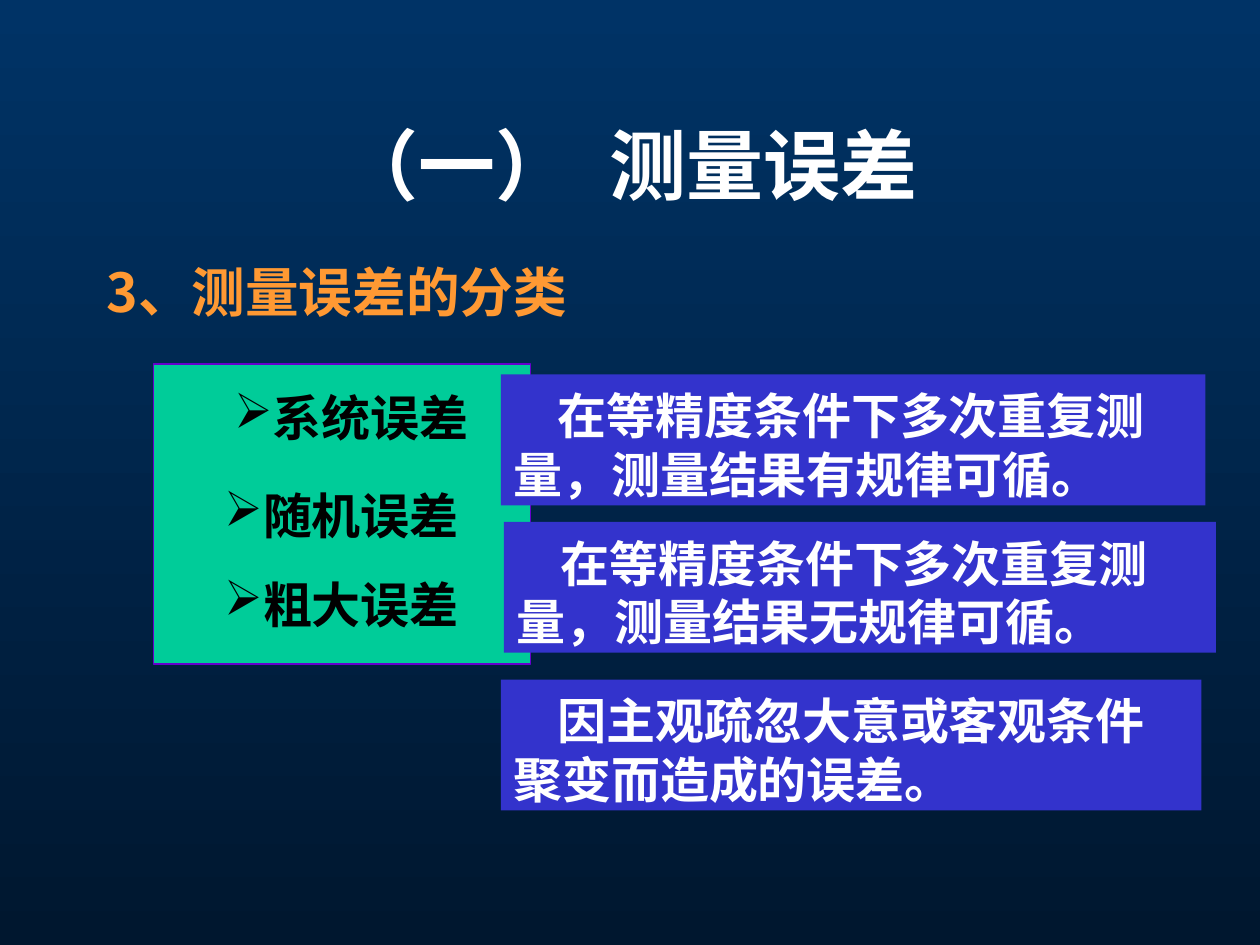
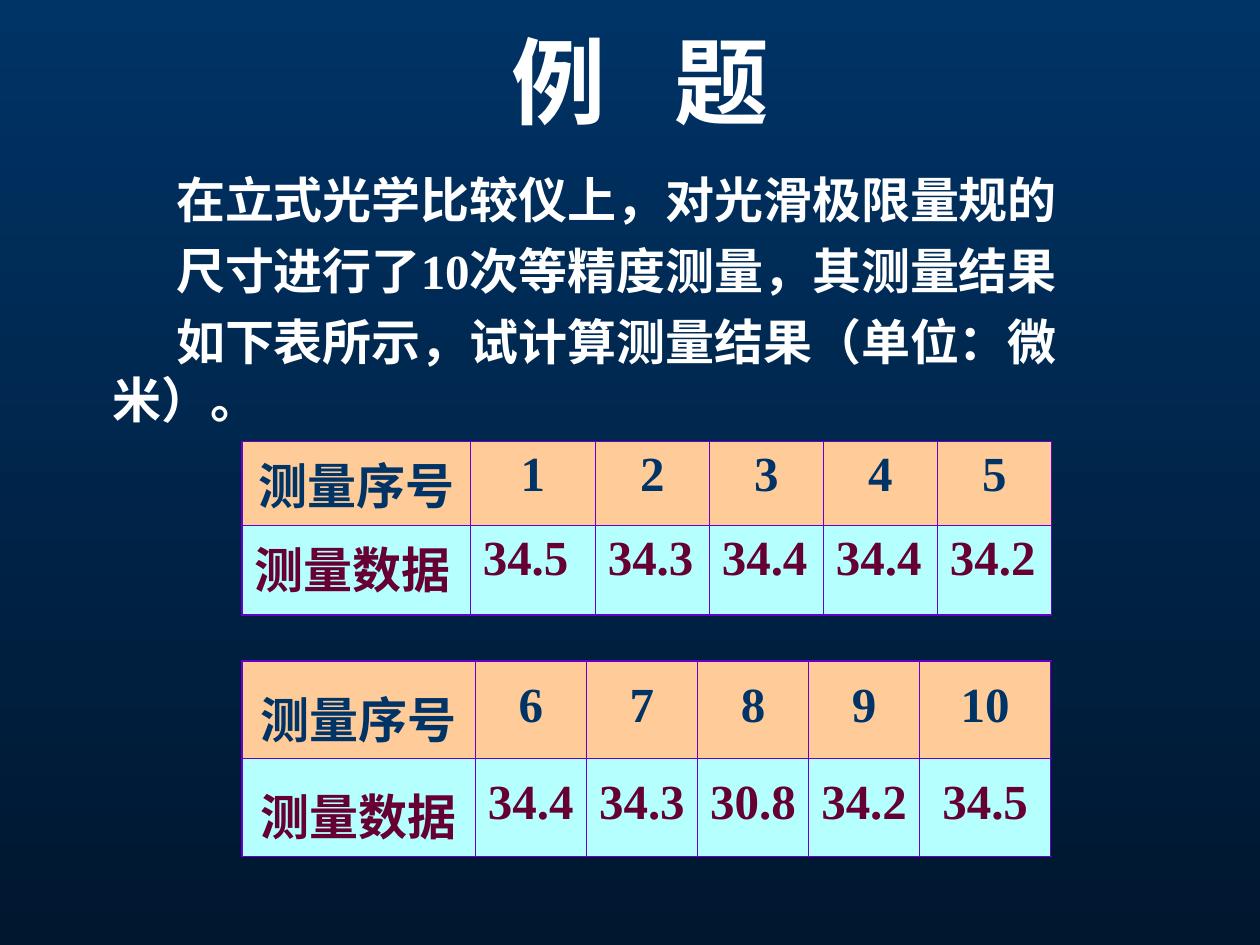
from dataclasses import dataclass

from lxml.etree import SubElement
from pptx import Presentation
from pptx.dml.color import RGBColor
from pptx.enum.shapes import MSO_SHAPE as Preset
from pptx.enum.text import MSO_ANCHOR as Anchor, MSO_AUTO_SIZE as AutoSize, PP_ALIGN as Align
from pptx.oxml.ns import qn
from pptx.util import Cm, Pt

NAVY, MIDNIGHT, WHITE, BLACK = "003366", "00172F", "FFFFFF", "000000"
ORANGE, GREEN, BLUE, PURPLE = "FF9933", "00CC99", "3333CC", "6600CC"
PEACH, AQUA, WINE = "FFCC99", "B5FFFF", "660033"
SERIF, SANS = "Times New Roman", "Noto Sans CJK SC"
BODY_SIZE = 28
INNER_BORDER, OUTER_BORDER = 0.45, 1.08


@dataclass
class Box:
    """Position and size in centimetres."""
    left: float
    top: float
    width: float
    height: float

    def lengths(self) -> tuple:
        return Cm(self.left), Cm(self.top), Cm(self.width), Cm(self.height)


@dataclass
class ErrorKind:
    name: str
    name_box: Box
    description: str
    description_box: Box


@dataclass
class Readings:
    box: Box
    column_widths: list[float]
    row_heights: list[float]
    numbers: list[str]
    values: list[str]
    value_align: Align
    line_spacing: float


ERROR_KINDS = [
    ErrorKind("系统误差", Box(4.47, 7.59, 5.92, 1.45),
              "在等精度条件下多次重复测量，测量结果有规律可循。", Box(10.1, 7.55, 14.2, 2.64)),
    ErrorKind("随机误差", Box(4.27, 9.55, 5.92, 1.45),
              "在等精度条件下多次重复测量，测量结果无规律可循。", Box(10.16, 10.52, 14.35, 2.64)),
    ErrorKind("粗大误差", Box(4.27, 11.35, 6.6, 1.45),
              "因主观疏忽大意或客观条件聚变而造成的误差。", Box(10.1, 13.7, 14.12, 2.64)),
]

READINGS = [
    Readings(Box(4.88, 8.9, 16.3, 3.5), [4.6, 2.52] + [2.3] * 4, [1.69, 1.81],
             ["1", "2", "3", "4", "5"], ["34.5", "34.3", "34.4", "34.4", "34.2"],
             Align.LEFT, 1),
    Readings(Box(4.88, 13.33, 16.3, 3.92), [4.7] + [2.24] * 4 + [2.64], [1.96, 1.96],
             ["6", "7", "8", "9", "10"], ["34.4", "34.3", "30.8", "34.2", "34.5"],
             Align.CENTER, 1.2),
]


def color(value: str) -> RGBColor:
    return RGBColor.from_string(value)


def set_font(paragraph, size: float, fill: str, latin: str = SERIF) -> None:
    font = paragraph.font
    font.size, font.bold, font.name = Pt(size), True, latin
    font.color.rgb = color(fill)
    properties = paragraph._p.pPr.find(qn("a:defRPr"))
    SubElement(properties, qn("a:ea")).set("typeface", SANS)


def set_indent(paragraph, left: float, first: float) -> None:
    properties = paragraph._p.get_or_add_pPr()
    properties.set("marL", str(Cm(left)))
    properties.set("indent", str(Cm(first)))
    properties.set("hangingPunct", "0")


def set_bullet(paragraph, character: str | None) -> None:
    properties = paragraph._p.get_or_add_pPr()
    if character is None:
        SubElement(properties, qn("a:buNone"))
    else:
        SubElement(properties, qn("a:buChar")).set("char", character)


def prepare_frame(shape) -> None:
    frame = shape.text_frame
    frame.word_wrap = True
    frame.auto_size = AutoSize.NONE
    frame.vertical_anchor = Anchor.TOP
    frame.margin_left = frame.margin_right = Cm(0.25)
    frame.margin_top, frame.margin_bottom = Cm(0.23), Cm(0.13)


def move(shape, box: Box) -> None:
    shape.left, shape.top, shape.width, shape.height = box.lengths()


def set_title(slide, text: str, box: Box, size: float, gap: float) -> None:
    """Fill the title, widening its single space by gap points."""
    title = slide.shapes.title
    move(title, box)
    prepare_frame(title)
    title.text_frame.margin_top = Cm(0.13)
    title.text_frame.vertical_anchor = Anchor.MIDDLE
    paragraph = title.text_frame.paragraphs[0]
    paragraph.alignment = Align.CENTER
    set_font(paragraph, size, WHITE)
    for part in text.partition(" "):
        run = paragraph.add_run()
        run.text = part
        if part == " ":
            run._r.get_or_add_rPr().set("spc", str(round(gap * 100)))


def set_body(slide, lines: list[str], box: Box, size: float, fill: str,
             latin: str, line_height: float, left: float = 0, first: float = 0) -> None:
    body = slide.placeholders[1]
    move(body, box)
    prepare_frame(body)
    body.text_frame.text = "\n".join(lines)
    for index, paragraph in enumerate(body.text_frame.paragraphs):
        set_indent(paragraph, left, first)
        paragraph.line_spacing = Pt(line_height)
        paragraph.space_before = Pt(7 if index else 0)
        set_bullet(paragraph, None)
        set_font(paragraph, size, fill, latin)


def add_rectangle(slide, box: Box, fill: str, line: str | None = None):
    rectangle = slide.shapes.add_shape(Preset.RECTANGLE, *box.lengths())
    rectangle.shadow.inherit = False
    rectangle.fill.solid()
    rectangle.fill.fore_color.rgb = color(fill)
    if line:
        rectangle.line.color.rgb = color(line)
        rectangle.line.width = Pt(0.75)
    else:
        rectangle.line.fill.background()
    return rectangle


def write_paragraph(shape, text: str, fill: str, first: float = 0, bullet: str | None = None) -> None:
    prepare_frame(shape)
    paragraph = shape.text_frame.paragraphs[0]
    paragraph.text = text
    paragraph.alignment = Align.LEFT
    set_indent(paragraph, 0, first)
    paragraph.line_spacing = Pt(33.6)
    set_bullet(paragraph, bullet)
    set_font(paragraph, BODY_SIZE, fill)


def set_borders(cell, outer_sides: dict[str, bool]) -> None:
    properties = cell._tc.get_or_add_tcPr()
    for side, is_outer in outer_sides.items():
        width = OUTER_BORDER if is_outer else INNER_BORDER
        line = SubElement(properties, qn(f"a:ln{side}"), w=str(Pt(width)))
        SubElement(SubElement(line, qn("a:solidFill")), qn("a:srgbClr"), val=PURPLE)


def add_readings(slide, readings: Readings) -> None:
    rows = [
        (["测量序号"] + readings.numbers, PEACH, NAVY, Align.CENTER),
        (["测量数据"] + readings.values, AQUA, WINE, readings.value_align),
    ]
    columns = len(readings.column_widths)
    table = slide.shapes.add_table(len(rows), columns, *readings.box.lengths()).table
    table.first_row = table.horz_banding = False
    for column, width in zip(table.columns, readings.column_widths):
        column.width = Cm(width)
    for row, height in zip(table.rows, readings.row_heights):
        row.height = Cm(height)
    for row_index, (texts, fill, text_color, align) in enumerate(rows):
        for column_index, text in enumerate(texts):
            cell = table.cell(row_index, column_index)
            set_borders(cell, {"L": column_index == 0, "R": column_index == columns - 1,
                               "T": row_index == 0, "B": row_index == len(rows) - 1})
            cell.fill.solid()
            cell.fill.fore_color.rgb = color(fill)
            paragraph = cell.text_frame.paragraphs[0]
            paragraph.text = text
            paragraph.alignment = align
            paragraph.line_spacing = float(readings.line_spacing)
            set_font(paragraph, BODY_SIZE, text_color)


def set_background(presentation) -> None:
    fill = presentation.slide_master.background.fill
    fill.gradient()
    fill.gradient_angle = 270
    for stop, value, position in zip(fill.gradient_stops, (NAVY, MIDNIGHT), (0, 1)):
        stop.color.rgb = color(value)
        stop.position = position


def build_error_kinds(slide) -> None:
    set_title(slide, "（一） 测量误差", Box(1.9, 1.7, 21.6, 3.18), 44, 11)
    set_body(slide, ["3、测量误差的分类"], Box(1.9, 5.13, 21.6, 1.63), 30.6, ORANGE, SANS, 33)
    add_rectangle(slide, Box(3.1, 7.34, 7.59, 6.05), GREEN, PURPLE)
    for kind in ERROR_KINDS:
        label = slide.shapes.add_textbox(*kind.name_box.lengths())
        write_paragraph(label, kind.name, BLACK, bullet="➢")
    for kind in ERROR_KINDS:
        panel = add_rectangle(slide, kind.description_box, BLUE)
        write_paragraph(panel, kind.description, WHITE, first=0.89)


def build_example(slide) -> None:
    set_title(slide, "例 题", Box(2.1, 0.43, 21.6, 2.34), 54, 27)
    lines = ["在立式光学比较仪上，对光滑极限量规的",
             "尺寸进行了10次等精度测量，其测量结果",
             "如下表所示，试计算测量结果（单位：微米）。"]
    set_body(slide, lines, Box(1.07, 3.18, 23.3, 4.45), BODY_SIZE, WHITE, SERIF, 33.6,
             left=0.95, first=1.28)
    for readings in READINGS:
        add_readings(slide, readings)


def main() -> None:
    presentation = Presentation()
    presentation.slide_width, presentation.slide_height = Cm(25.4), Cm(19.05)
    set_background(presentation)
    title_and_content = presentation.slide_layouts[1]
    for build in (build_error_kinds, build_example):
        build(presentation.slides.add_slide(title_and_content))
    presentation.save("out.pptx")


if __name__ == "__main__":
    main()
